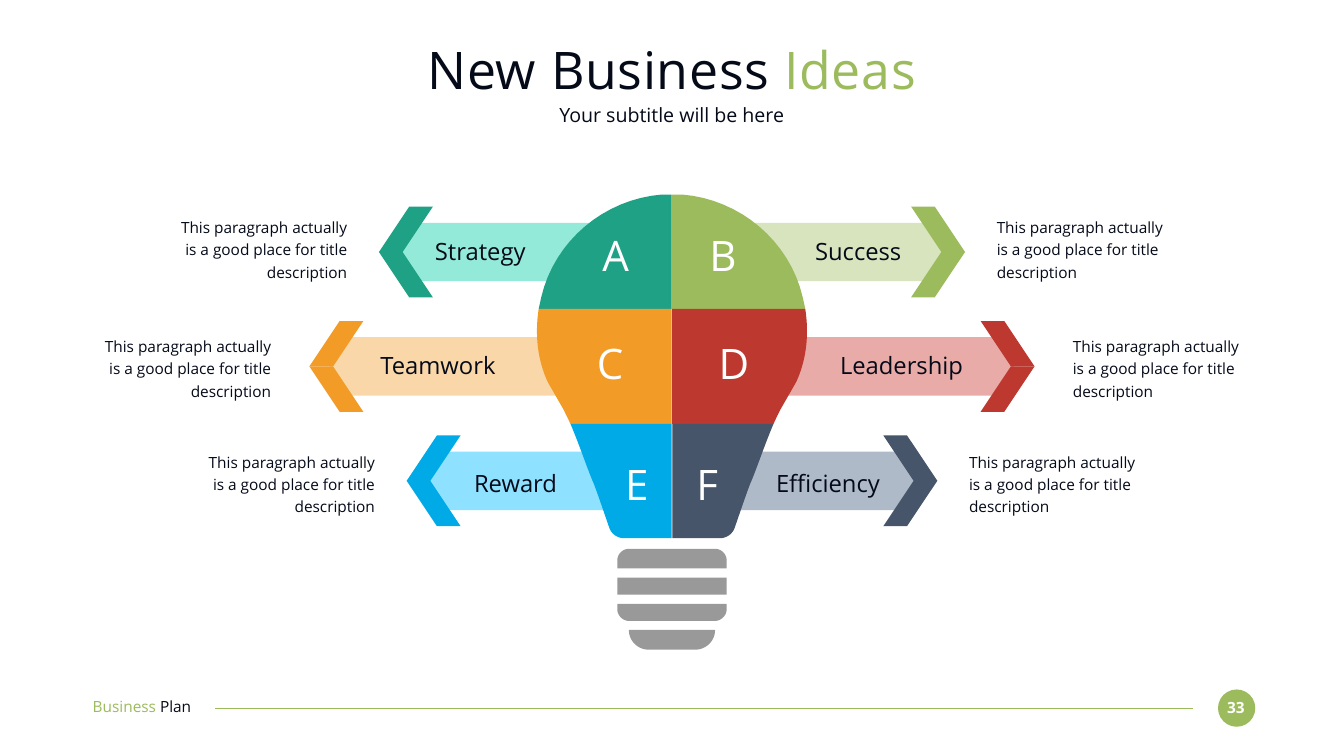
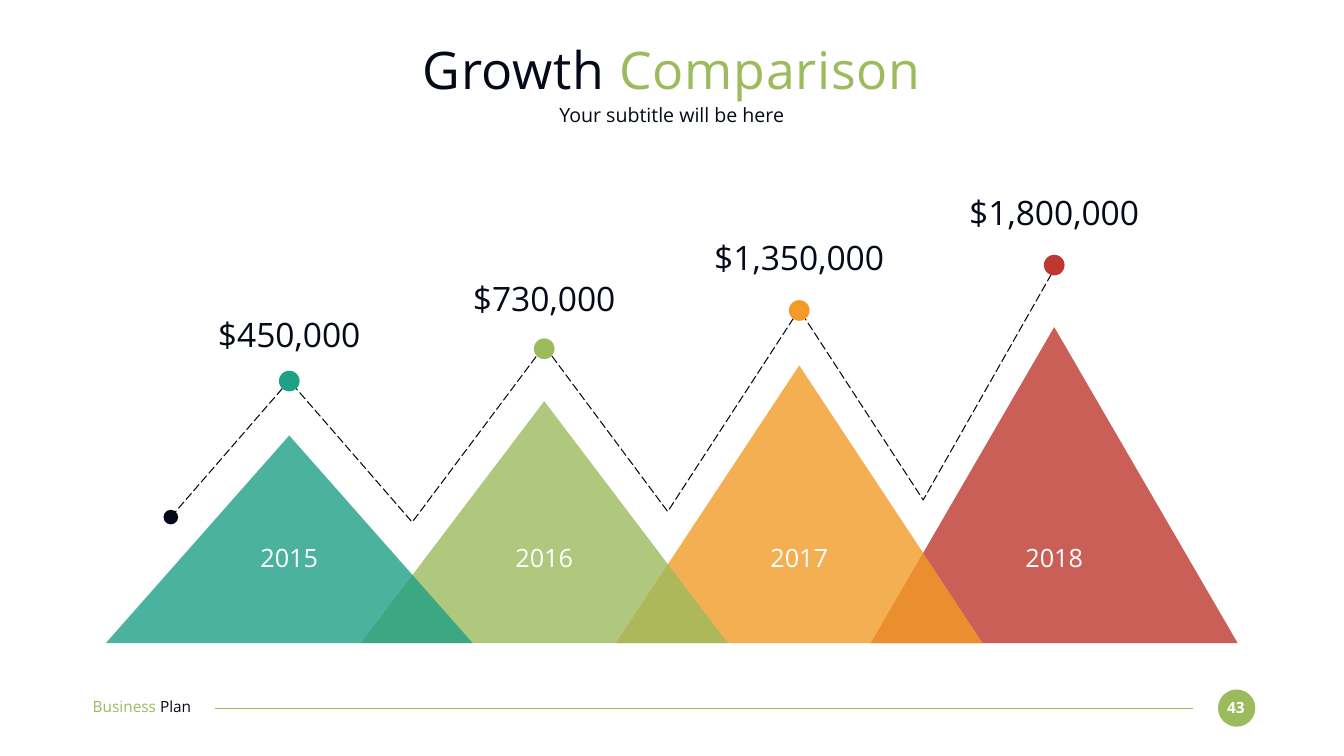
from dataclasses import dataclass

from lxml import etree
from pptx import Presentation
from pptx.dml.color import RGBColor
from pptx.enum import dml, shapes, text
from pptx.oxml.ns import qn
from pptx.util import Inches, Pt

# Shared look
WIDTH, HEIGHT = 26.67, 15
FONT = "Open Sans"
INK, WHITE, GREY = "050A19", "FFFFFF", "999999"
GREEN, TEAL, ORANGE = "9CBB5D", "1FA185", "F29B27"
RED, SLATE, BLUE = "BD382F", "465569", "00AAE6"
LEFT, CENTER, RIGHT = text.PP_ALIGN.LEFT, text.PP_ALIGN.CENTER, text.PP_ALIGN.RIGHT

Point = tuple[float, float]
Step = tuple[float, ...]  # (x, y) for a line, six numbers for a Bezier curve


@dataclass(frozen=True)
class Row:
    middle: float
    root: float
    tip: float
    note_gap: float
    note_top: float
    word_top: float
    word_width: float
    letter_top: float


@dataclass(frozen=True)
class Arm:
    row: Row
    on_left: bool
    letter: str
    letter_left: float
    word: str
    word_left: float
    color: str
    tint: str
    segment: list[Step]


@dataclass(frozen=True)
class Year:
    label: str
    amount: str
    color: str
    height: float
    amount_top: float
    dot_middle: float
    trail_peak: float


# Bulb outline, right half
DOME = [(13.34, 3.86), (13.53, 3.86), (14.68, 3.95, 15.67, 4.78, 15.93, 5.9),
        (15.98, 6.13), (13.34, 6.13)]
WAIST = [(13.34, 6.13), (15.98, 6.13), (16.06, 6.65, 16, 7.15, 15.8, 7.58),
         (15.49, 8.12), (15.45, 8.2, 15.4, 8.3, 15.35, 8.41), (13.34, 8.41)]
NECK = [(13.34, 8.41), (15.35, 8.41), (15.17, 8.83, 14.98, 9.4, 14.89, 9.59),
        (14.82, 9.77, 14.68, 10.18, 14.58, 10.47),
        (14.54, 10.59, 14.42, 10.68, 14.28, 10.68), (13.34, 10.68)]
SOCKET = [
    [(14.19, 12.5), (14.19, 12.72, 14.01, 12.89, 13.8, 12.89)],
    [(14.42, 11.98), (14.42, 12.09), (14.42, 12.21, 14.31, 12.32, 14.19, 12.32)],
    [(14.42, 11.46), (14.42, 11.8)],
    [(14.19, 10.89), (14.31, 10.89, 14.42, 10.99, 14.42, 11.12), (14.42, 11.28)],
]

TOP = Row(5, 13.97, 19.15, 0.63, 4.26, 4.7, 2.68, 4.55)
MIDDLE = Row(7.27, 13.97, 20.53, 0.76, 6.62, 6.95, 3.7, 6.69)
BOTTOM = Row(9.54, 13.42, 18.6, 0.63, 8.91, 9.3, 2.68, 9.09)
ARMS = [
    Arm(TOP, True, "A", 11.68, "Strategy", 8.19, TEAL, "94EAD8", DOME),
    Arm(TOP, False, "B", 13.81, "Success", 15.69, GREEN, "D7E4BE", DOME),
    Arm(MIDDLE, True, "C", 11.57, "Teamwork", 6.84, ORANGE, "FAD7A9", WAIST),
    Arm(MIDDLE, False, "D", 14.03, "Leadership", 16.04, RED, "E9ABA7", WAIST),
    Arm(BOTTOM, True, "E", 12.1, "Reward", 8.89, BLUE, "8FE2FF", NECK),
    Arm(BOTTOM, False, "F", 13.5, "Efficiency", 15.09, SLATE, "AFBAC9", NECK),
]
NOTE = "This paragraph actually is a good place for title description"

YEARS = [
    Year("2015", "$450,000", TEAL, 4.12, 6.23, 7.56, 7.55),
    Year("2016", "$730,000", GREEN, 4.8, 5.51, 6.92, 6.86),
    Year("2017", "$1,350,000", ORANGE, 5.51, 4.7, 6.16, 6.14),
    Year("2018", "$1,800,000", RED, 6.27, 3.81, 5.26, 5.34),
]
TRAIL_START = (3.39, 10.26)
TRAIL_VALLEYS = [(8.18, 10.36), (13.25, 10.15), (18.32, 9.92)]


# Drawing helpers
def rgb(color: str) -> RGBColor:
    return RGBColor.from_string(color)


def paint(shape, color: str, opacity: int = 100) -> None:
    shape.shadow.inherit = False
    shape.line.fill.background()
    shape.fill.solid()
    shape.fill.fore_color.rgb = rgb(color)
    if opacity < 100:
        tone = shape.fill._xPr.find(qn("a:solidFill"))[0]
        etree.SubElement(tone, qn("a:alpha")).set("val", str(opacity * 1000))


def add_preset(slide, kind, left: float, top: float, width: float, height: float,
               color: str, opacity: int = 100) -> None:
    shape = slide.shapes.add_shape(kind, Inches(left), Inches(top),
                                   Inches(width), Inches(height))
    paint(shape, color, opacity)


def add_dot(slide, x: float, y: float, size: float, color: str) -> None:
    add_preset(slide, shapes.MSO_SHAPE.OVAL, x - size / 2, y - size / 2, size, size, color)


def write(frame, *pieces: tuple[str, str], size: float, align=CENTER, bold: bool = False,
          line_spacing: float | None = None, tracking: int = 0) -> None:
    """Fill a text frame with one paragraph of (words, color) pieces."""
    frame.margin_left = frame.margin_right = frame.margin_top = frame.margin_bottom = 0
    frame.word_wrap = True
    paragraph = frame.paragraphs[0]
    paragraph.alignment = align
    paragraph.space_before = Pt(0)
    if line_spacing:
        paragraph.line_spacing = line_spacing
    for words, color in pieces:
        run = paragraph.add_run()
        run.text = words
        run.font.name, run.font.size, run.font.bold = FONT, Pt(size), bold
        run.font.color.rgb = rgb(color)
        if tracking:
            run._r.get_or_add_rPr().set("spc", str(tracking * 100))


def add_text(slide, left: float, top: float, width: float, height: float,
             *pieces: tuple[str, str], **style) -> None:
    frame = slide.shapes.add_textbox(Inches(left), Inches(top),
                                     Inches(width), Inches(height)).text_frame
    write(frame, *pieces, **style)
    frame.auto_size = text.MSO_AUTO_SIZE.SHAPE_TO_FIT_TEXT


def flatten(steps: list[Step], parts: int = 16) -> list[Point]:
    """Turn lines and Bezier curves into a run of points."""
    points: list[Point] = []
    for step in steps:
        if len(step) == 2:
            points.append((step[0], step[1]))
            continue
        knots = [points[-1], step[:2], step[2:4], step[4:]]
        for n in range(1, parts + 1):
            t = n / parts
            weights = ((1 - t) ** 3, 3 * t * (1 - t) ** 2, 3 * t * t * (1 - t), t ** 3)
            x, y = (sum(w * k[axis] for w, k in zip(weights, knots)) for axis in (0, 1))
            points.append((x, y))
    return points


def mirror(points: list[Point]) -> list[Point]:
    return [(WIDTH - x, y) for x, y in points]


def outline(slide, contours: list[list[Point]], closed: bool = True):
    scaled = [[(Inches(x), Inches(y)) for x, y in contour] for contour in contours]
    builder = slide.shapes.build_freeform(*scaled[0][0])
    for index, contour in enumerate(scaled):
        if index:
            builder.move_to(*contour[0])
        builder.add_line_segments(contour[1:], close=closed)
    return builder.convert_to_shape()


# Parts on every slide
def place(holder, top: float, height: float):
    holder.left, holder.top = Inches(1.83), Inches(top)
    holder.width, holder.height = Inches(23), Inches(height)
    frame = holder.text_frame
    frame.auto_size = text.MSO_AUTO_SIZE.NONE
    frame.vertical_anchor = text.MSO_ANCHOR.MIDDLE
    return frame


def start_slide(deck, heading: str, accent: str, number: int):
    slide = deck.slides.add_slide(deck.slide_layouts[1])
    title, subtitle = slide.placeholders
    write(place(title, 0.73, 1.27), (heading + " ", INK), (accent, GREEN),
          size=74, tracking=1)
    frame = place(subtitle, 2.03, 0.49)
    props = frame.paragraphs[0]._p.get_or_add_pPr()
    props.set("marL", "0")
    props.set("indent", "0")
    etree.SubElement(props, qn("a:buNone"))
    write(frame, ("Your subtitle will be here", INK), size=28)

    # Footer
    add_dot(slide, 24.54, 14.05, 0.74, GREEN)
    add_text(slide, 24.23, 13.85, 0.59, 0.37, (str(number), WHITE), size=22, bold=True)
    rule = slide.shapes.add_connector(shapes.MSO_CONNECTOR.STRAIGHT, Inches(23.67),
                                      Inches(14.05), Inches(4.27), Inches(14.05))
    rule.line.color.rgb = rgb(GREEN)
    rule.line.width = Pt(1.5)
    etree.SubElement(rule._element.spPr, qn("a:effectLst"))
    add_text(slide, 1.84, 13.84, 2.59, 0.37, ("Business ", GREEN), ("Plan", INK),
             size=22, align=LEFT)
    return slide


# Slide with the light bulb
def draw_on_side(slide, arm: Arm, points: list[Point], color: str) -> None:
    paint(outline(slide, [mirror(points) if arm.on_left else points]), color)


def draw_ribbon(slide, arm: Arm) -> None:
    row, tip = arm.row, arm.row.tip - 0.4
    top, bottom = row.middle - 0.58, row.middle + 0.58
    draw_on_side(slide, arm, [(tip - 0.35, bottom), (row.root, bottom), (row.root, top),
                              (tip - 0.35, top), (tip, row.middle)], arm.tint)


def draw_chevron(slide, arm: Arm) -> None:
    tip, middle = arm.row.tip, arm.row.middle
    for end in (middle - 0.9, middle + 0.9):
        draw_on_side(slide, arm, [(tip, middle), (tip - 0.47, middle),
                                  (tip - 1.07, end), (tip - 0.6, end)], arm.color)


def draw_labels(slide, arm: Arm) -> None:
    row, note_width = arm.row, 3.54
    note_left = row.tip + row.note_gap
    if arm.on_left:
        note_left = WIDTH - note_left - note_width
    add_text(slide, note_left, row.note_top, note_width, 1.33, (NOTE, INK), size=22,
             align=RIGHT if arm.on_left else LEFT, line_spacing=1.2)
    add_text(slide, arm.letter_left, row.letter_top, 1.07, 1.01, (arm.letter, WHITE), size=60)
    add_text(slide, arm.word_left, row.word_top, row.word_width, 0.57,
             (arm.word, INK), size=34)


def build_ideas(deck) -> None:
    slide = start_slide(deck, "New Business", "Ideas", 33)
    for arm in ARMS:
        draw_ribbon(slide, arm)
    for arm in ARMS:
        draw_on_side(slide, arm, flatten(arm.segment), arm.color)
    halves = [flatten(half) for half in SOCKET]
    paint(outline(slide, [half + mirror(half)[::-1] for half in halves]), GREY)
    for arm in ARMS:
        draw_labels(slide, arm)
        draw_chevron(slide, arm)


# Slide with the peaks
def build_growth(deck) -> None:
    slide = start_slide(deck, "Growth", "Comparison", 43)
    base, peak_width = 12.76, 7.28
    peaks = [(5.74 + 5.06 * index, year) for index, year in enumerate(YEARS)]
    for x, year in reversed(peaks):
        add_preset(slide, shapes.MSO_SHAPE.ISOSCELES_TRIANGLE, x - peak_width / 2,
                   base - year.height, peak_width, year.height, year.color, 80)

    # Dashed trail over the peaks
    route = [TRAIL_START]
    for (x, year), valley in zip(peaks, TRAIL_VALLEYS + [None]):
        route.append((x, year.trail_peak))
        if valley:
            route.append(valley)
    trail = outline(slide, [route], closed=False)
    trail.shadow.inherit = False
    trail.fill.background()
    trail.line.color.rgb = rgb(INK)
    trail.line.width = Pt(1.5)
    trail.line.dash_style = dml.MSO_LINE.LONG_DASH
    add_dot(slide, *TRAIL_START, 0.29, INK)

    for x, year in peaks:
        add_text(slide, x - 1.2, 10.76, 2.4, 0.61, (year.label, WHITE), size=36)
        add_text(slide, x - 1.84, year.amount_top, 3.68, 0.81, (year.amount, INK), size=48)
        add_dot(slide, x, year.dot_middle, 0.41, year.color)


def main() -> None:
    deck = Presentation()
    deck.slide_width, deck.slide_height = Inches(WIDTH), Inches(HEIGHT)
    build_ideas(deck)
    build_growth(deck)
    deck.save("out.pptx")


if __name__ == "__main__":
    main()
